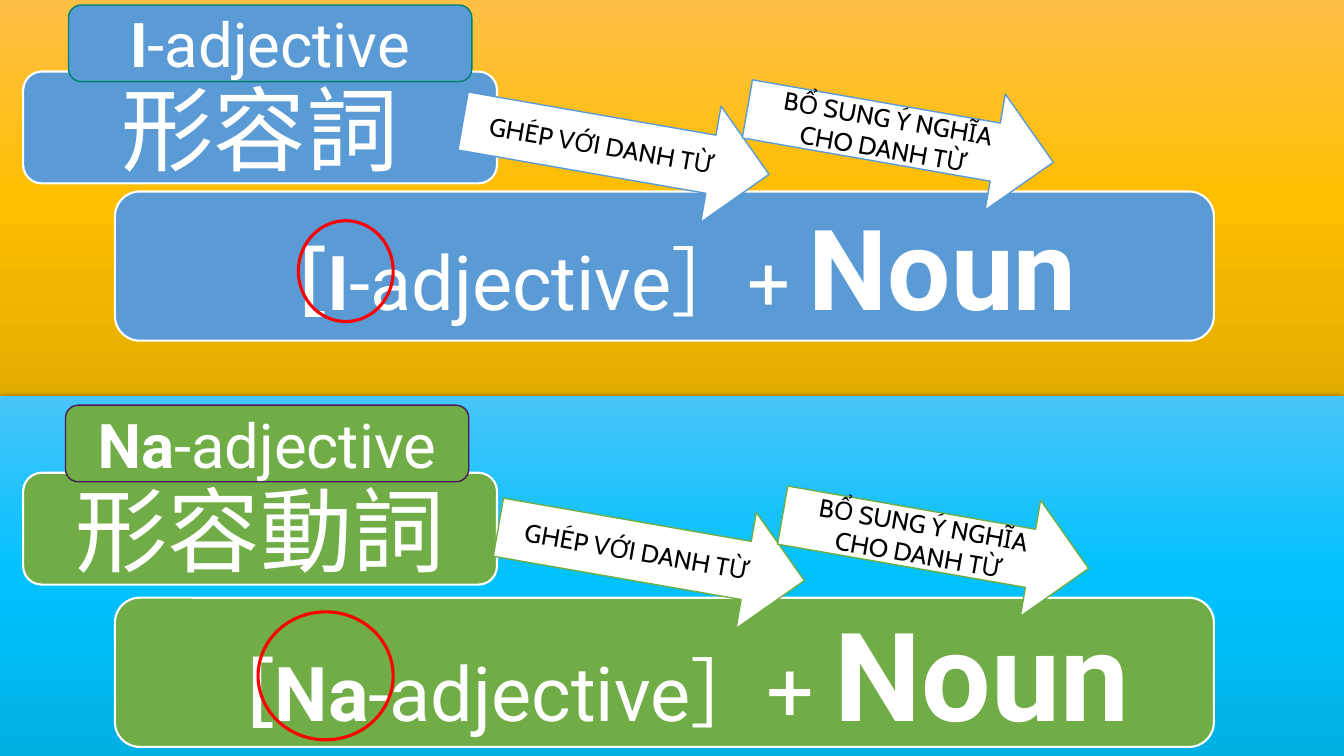
from copy import deepcopy

from lxml import etree
from pptx import Presentation
from pptx.dml.color import RGBColor
from pptx.enum import shapes, text
from pptx.oxml import ns
from pptx.util import Inches, Pt

COLORS = {
    "white": "FFFFFF", "black": "000000", "red": "FF0000",
    "blue": "5B9BD5", "green": "70AD47", "teal": "00816C", "plum": "4B1859",
}
SHAPE = shapes.MSO_SHAPE
SHADOW = (
    f'<a:outerShdw {ns.nsdecls("a")} blurRad="57150" dist="19050" dir="5400000" '
    'algn="ctr" rotWithShape="0"><a:srgbClr val="000000"><a:alpha val="63000"/>'
    '</a:srgbClr></a:outerShdw>'
)

SECTIONS = [
    {
        "band": (0, 3.93), "gradient": ["FFC047", "FFBE00", "E3AD00"],
        "color": "blue", "kanji": "形容詞", "kanji_top": 0.71,
        "formula": [("［I", 54, True), ("-adjective］+ ", 54, False), ("Noun", 80, True)],
        "formula_top": 1.9, "arrow_at": (4.57, 0.88), "circle": (2.96, 2.19, 0.94, 1),
        "prefix": "I", "tag_at": (0.68, 0.05), "tag_line": "teal",
    },
    {
        "band": (3.93, 3.57), "gradient": ["47C5F9", "00C2FE", "00B1E3"],
        "color": "green", "kanji": "形容動詞", "kanji_top": 4.69,
        "formula": [("［Na", 54, True), ("-adjective］", 54, False), ("+ ", 60, False),
                    ("Noun", 88, True)],
        "formula_top": 5.93, "arrow_at": (4.92, 4.91), "circle": (2.56, 6.07, 1.34, 1.27),
        "prefix": "Na", "tag_at": (0.65, 4.02), "tag_line": "plum",
    },
]
ARROW_LABELS = ["GHÉP VỚI DANH TỪ", "BỔ SUNG Ý NGHĨA CHO DANH TỪ"]

prs = Presentation()
prs.slide_width, prs.slide_height = Inches(13.33), Inches(7.5)
slide = prs.slides.add_slide(prs.slide_layouts[6])


def add_box(kind, box, fill=None, line=None, line_width=1):
    """Add a shape without shadow; a missing fill or line is left empty."""
    shape = slide.shapes.add_shape(kind, *[Inches(length) for length in box])
    shape.shadow.inherit = False
    if fill:
        shape.fill.solid()
        shape.fill.fore_color.rgb = RGBColor.from_string(COLORS[fill])
    else:
        shape.fill.background()
    if line:
        shape.line.color.rgb = RGBColor.from_string(COLORS[line])
        shape.line.width = Pt(line_width)
    else:
        shape.line.fill.background()
    return shape


def write(shape, runs, font, color="white"):
    """Fill a shape with one centred paragraph of (words, size, bold) runs."""
    frame = shape.text_frame
    frame.word_wrap = True
    frame.vertical_anchor = text.MSO_ANCHOR.MIDDLE
    paragraph = frame.paragraphs[0]
    paragraph.alignment = text.PP_ALIGN.CENTER
    for words, size, bold in runs:
        run = paragraph.add_run()
        run.text = words
        run.font.name, run.font.size, run.font.bold = font, Pt(size), bold
        run.font.color.rgb = RGBColor.from_string(COLORS[color])


for section in SECTIONS:
    color = section["color"]

    top, height = section["band"]
    band = add_box(SHAPE.RECTANGLE, (0, top, 13.33, height))
    band.fill.gradient()
    band.fill.gradient_angle = 270
    stop_list = band._element.spPr.find(".//" + ns.qn("a:gsLst"))
    stop_list.append(deepcopy(stop_list[-1]))
    for i, (stop, shade) in enumerate(zip(band.fill.gradient_stops, section["gradient"])):
        stop.position = i / 2
        stop.color.rgb = RGBColor.from_string(shade)
    band._element.spPr.find(ns.qn("a:effectLst")).append(etree.fromstring(SHADOW))

    kanji = add_box(SHAPE.ROUNDED_RECTANGLE, (0.23, section["kanji_top"], 4.7, 1.11),
                    color, "white", 1.5)
    write(kanji, [(section["kanji"], 66, False)], "Arial")

    formula = add_box(SHAPE.ROUNDED_RECTANGLE, (1.14, section["formula_top"], 10.9, 1.48),
                      color, "white", 1.5)
    write(formula, section["formula"], "Roboto")

    left, top = section["arrow_at"]
    for i, label in enumerate(ARROW_LABELS):
        arrow = add_box(SHAPE.RIGHT_ARROW, (left + 2.82 * i, top - 0.12 * i, 3.08, 1.17),
                        "white", color)
        arrow.rotation = 9.9
        write(arrow, [(label, 18, False)], "Cabin", "black")

    add_box(SHAPE.OVAL, section["circle"], line="red", line_width=2.25)

    tag = add_box(SHAPE.ROUNDED_RECTANGLE, (*section["tag_at"], 4, 0.76),
                  color, section["tag_line"])
    write(tag, [(section["prefix"], 44, True), ("-adjective", 44, False)], "Roboto")

prs.save("out.pptx")
